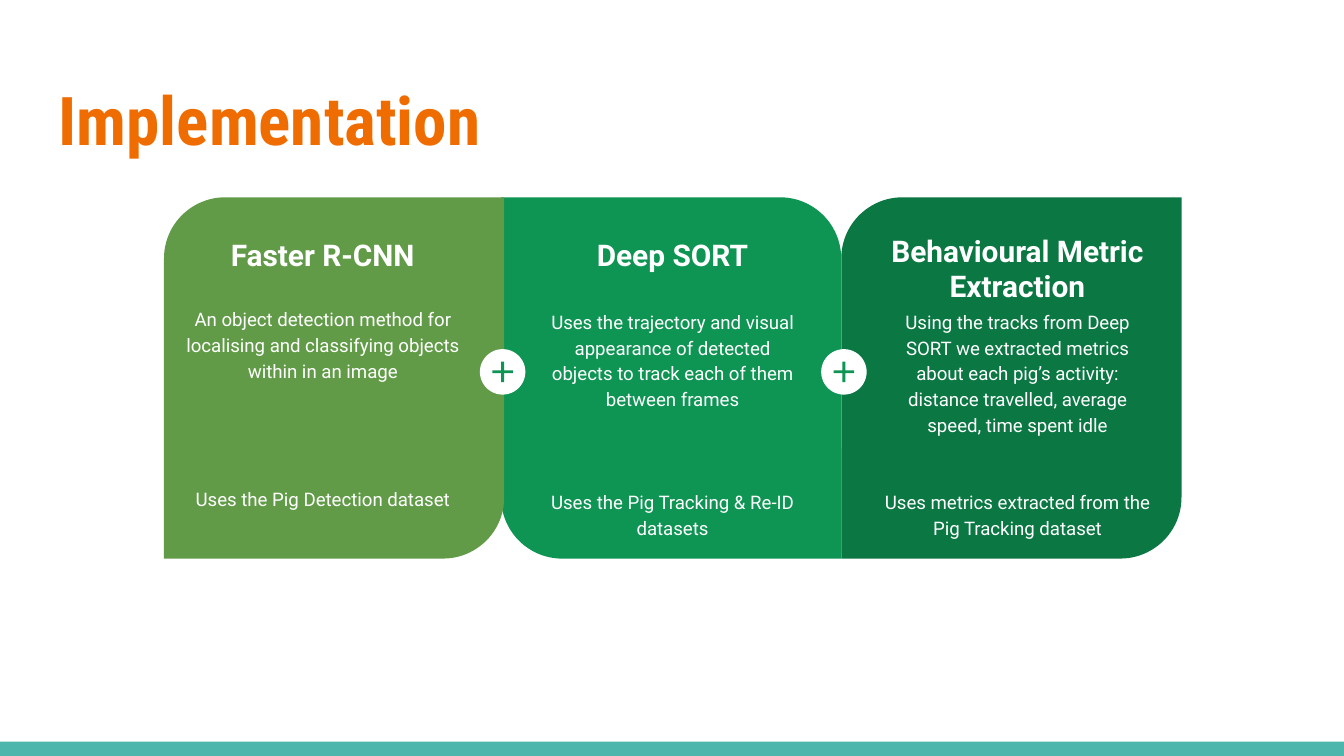
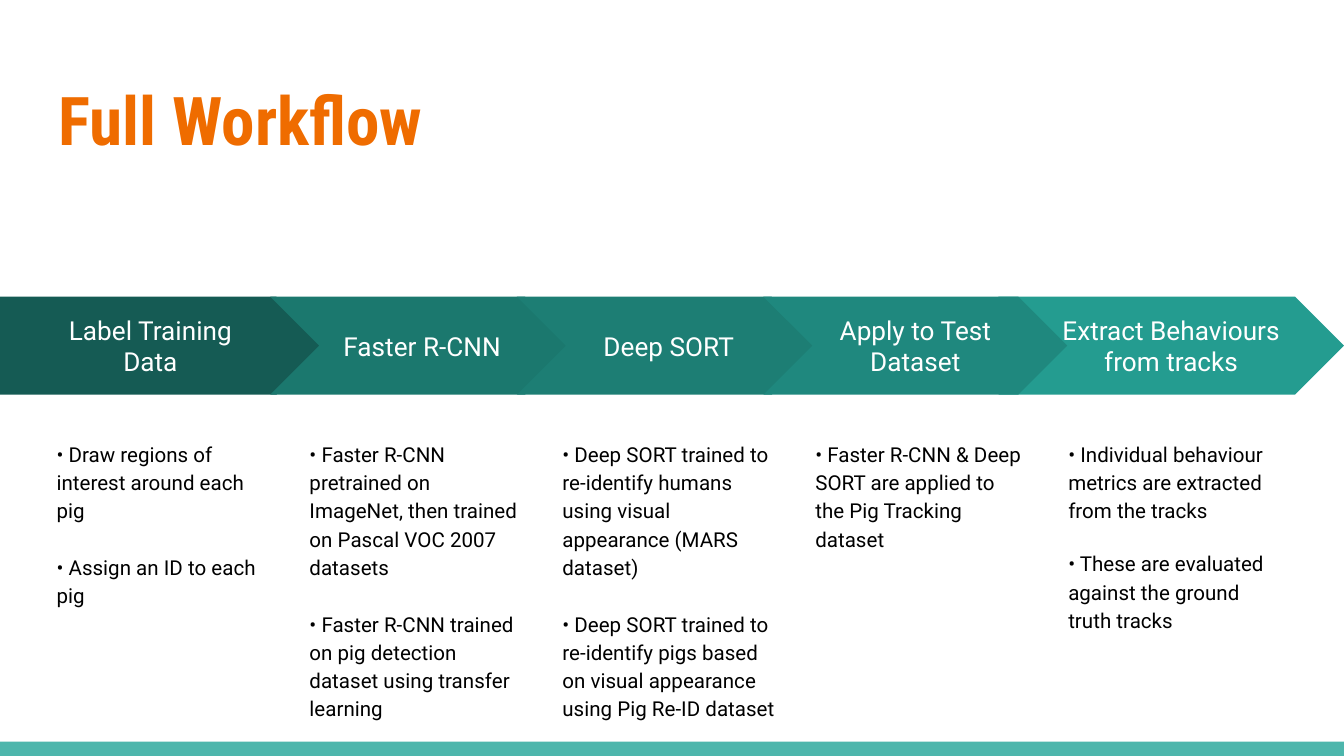
from pptx import Presentation
from pptx.dml.color import RGBColor
from pptx.enum.shapes import MSO_SHAPE
from pptx.enum.text import MSO_ANCHOR, PP_ALIGN
from pptx.util import Cm, Pt

RECTANGLE = MSO_SHAPE.RECTANGLE
DIAGONAL = MSO_SHAPE.ROUND_2_DIAG_RECTANGLE
OVAL = MSO_SHAPE.OVAL
PLUS = MSO_SHAPE.MATH_PLUS
PENTAGON = MSO_SHAPE.PENTAGON
CHEVRON = MSO_SHAPE.CHEVRON
LEFT = PP_ALIGN.LEFT
CENTER = PP_ALIGN.CENTER
TOP = MSO_ANCHOR.TOP
MIDDLE = MSO_ANCHOR.MIDDLE

COLORS = {
    "band": "4DB6AC",
    "title": "EF6C00",
    "white": "FFFFFF",
    "black": "000000",
    "light green": "619B48",
    "green": "0E9453",
    "dark green": "0B7743",
    "step 1": "155B54",
    "step 2": "1B786E",
    "step 3": "1D7E74",
    "step 4": "1F887E",
    "step 5": "249C90",
}

FORMATS = {
    "title": {
        "font": {"name": "Roboto Condensed", "size": Pt(36), "bold": True},
        "paragraph": {"alignment": LEFT},
        "color": "title",
    },
    "card heading": {
        "font": {"name": "Roboto", "size": Pt(16), "bold": True},
        "paragraph": {"alignment": CENTER},
        "color": "white",
    },
    "card body": {
        "font": {"name": "Roboto", "size": Pt(10)},
        "paragraph": {"alignment": CENTER, "line_spacing": 1.15},
        "color": "white",
    },
    "step": {
        "font": {"name": "Roboto", "size": Pt(14)},
        "paragraph": {"alignment": CENTER},
        "color": "white",
    },
    "notes": {
        "font": {"name": "Roboto", "size": Pt(11)},
        "paragraph": {"alignment": LEFT, "line_spacing": 1.15},
        "color": "black",
    },
}

MARGIN = Cm(0.25)
FRAME = {
    "word_wrap": True,
    "margin_left": MARGIN,
    "margin_top": MARGIN,
    "margin_right": MARGIN,
    "margin_bottom": MARGIN,
}

WIDTH, HEIGHT = 25.4, 14.29
CARD_TOP, CARD_WIDTH, CARD_HEIGHT = 3.73, 6.43, 6.83
BODY_LINE = 13.8
STEP_TOP, STEP_HEIGHT = 5.61, 1.85
NOTES_LEFT, NOTES_PITCH, NOTES_TOP, NOTES_HEIGHT = 0.82, 4.78, 8.03, 6.53

CARDS = [
    {
        "left": 15.9, "color": "dark green", "corners": (0.18, 0), "center": 19.23,
        "heading": "Behavioural Metric Extraction",
        "heading_top": 4.14, "heading_width": 6.15,
        "body": [
            "Using the tracks from Deep SORT we extracted metrics about each pig’s "
            "activity: distance travelled, average speed, time spent idle",
            "Uses metrics extracted from the Pig Tracking dataset",
        ],
        "body_top": 5.56, "body_width": 5.64, "gap_lines": 2,
    },
    {
        "left": 9.47, "color": "green", "corners": (0, 0.18), "center": 12.71,
        "heading": "Deep SORT",
        "heading_top": 4.22, "heading_width": 4.8,
        "body": [
            "Uses the trajectory and visual appearance of detected objects to track "
            "each of them between frames",
            "Uses the Pig Tracking & Re-ID datasets",
        ],
        "body_top": 5.56, "body_width": 5.26, "gap_lines": 3,
    },
    {
        "left": 3.1, "color": "light green", "corners": (0.18, 0), "center": 6.1,
        "heading": "Faster R-CNN",
        "heading_top": 4.22, "heading_width": 4.8,
        "body": [
            "An object detection method for localising and classifying objects "
            "within in an image",
            "Uses the Pig Detection dataset",
        ],
        "body_top": 5.51, "body_width": 5.99, "gap_lines": 4,
    },
]

STEPS = [
    {
        "number": 1, "kind": PENTAGON, "left": 0, "width": 6.15,
        "label": "Label Training\vData",
        "notes": [
            "Draw regions of interest around each pig",
            "Assign an ID to each pig",
        ],
        "notes_width": 4.52, "gap": 15.2,
    },
    {
        "number": 2, "kind": CHEVRON, "left": 5.11, "width": 5.74,
        "label": "Faster R-CNN",
        "notes": [
            "Faster R-CNN pretrained on ImageNet, then trained on Pascal VOC 2007 datasets",
            "Faster R-CNN trained on pig detection dataset using transfer learning",
        ],
        "notes_width": 4.52, "gap": 15.2,
    },
    {
        "number": 3, "kind": CHEVRON, "left": 9.77, "width": 5.74,
        "label": "Deep SORT",
        "notes": [
            "Deep SORT trained to re-identify humans using visual appearance (MARS dataset)",
            "Deep SORT trained to re-identify pigs based on visual appearance "
            "using Pig Re-ID dataset",
        ],
        "notes_width": 4.67, "gap": 15.2,
    },
    {
        "number": 5, "kind": CHEVRON, "left": 18.87, "width": 6.53,
        "label": "Extract Behaviours from tracks",
        "notes": [
            "Individual behaviour metrics are extracted from the tracks",
            "These are evaluated against the ground truth tracks",
        ],
        "notes_width": 4.52, "gap": 13.2,
    },
    {
        "number": 4, "kind": CHEVRON, "left": 14.43, "width": 5.74,
        "label": "Apply to Test Dataset",
        "notes": ["Faster R-CNN & Deep SORT are applied to the Pig Tracking dataset"],
        "notes_width": 4.52, "gap": 0,
    },
]


def set_values(target, values):
    for name, value in values.items():
        setattr(target, name, value)


class Deck:
    def __init__(self):
        self.presentation = Presentation()
        self.presentation.slide_width = Cm(WIDTH)
        self.presentation.slide_height = Cm(HEIGHT)
        self.slide = None

    def add_slide(self, title):
        self.slide = self.presentation.slides.add_slide(self.presentation.slide_layouts[6])
        self.shape(RECTANGLE, 0, 14.02, WIDTH, 0.27, "band")
        self.text(0.86, 1.24, 23.67, 1.96, [title], "title")

    def shape(self, kind, left, top, width, height, color, adjustments=()):
        shape = self.slide.shapes.add_shape(kind, Cm(left), Cm(top), Cm(width), Cm(height))
        shape.shadow.inherit = False
        shape.fill.solid()
        shape.fill.fore_color.rgb = RGBColor.from_string(COLORS[color])
        shape.line.fill.background()
        for index, value in enumerate(adjustments):
            shape.adjustments[index] = value
        return shape

    def text(self, left, top, width, height, lines, style, gap=0):
        box = self.slide.shapes.add_textbox(Cm(left), Cm(top), Cm(width), Cm(height))
        self.fill_text(box, lines, style, TOP, gap)

    def fill_text(self, shape, lines, style, anchor, gap=0):
        frame = shape.text_frame
        set_values(frame, FRAME)
        frame.vertical_anchor = anchor
        values = FORMATS[style]
        for index, line in enumerate(lines):
            paragraph = frame.add_paragraph() if index else frame.paragraphs[0]
            paragraph.text = line
            set_values(paragraph, values["paragraph"])
            if index:
                paragraph.space_before = Pt(gap)
            set_values(paragraph.font, values["font"])
            paragraph.font.color.rgb = RGBColor.from_string(COLORS[values["color"]])

    def card(self, card):
        self.shape(DIAGONAL, card["left"], CARD_TOP, CARD_WIDTH, CARD_HEIGHT,
                   card["color"], card["corners"])
        self.text(card["center"] - card["heading_width"] / 2, card["heading_top"],
                  card["heading_width"], 2, [card["heading"]], "card heading")
        self.text(card["center"] - card["body_width"] / 2, card["body_top"],
                  card["body_width"], 4.9, card["body"], "card body",
                  BODY_LINE * card["gap_lines"])

    def plus_badge(self, center_x, center_y):
        for kind, size, color, adjustments in (
            (OVAL, 0.86, "white", ()),
            (PLUS, 0.53, "green", (0.1,)),
        ):
            self.shape(kind, center_x - size / 2, center_y - size / 2, size, size,
                       color, adjustments)

    def step(self, step):
        arrow = self.shape(step["kind"], step["left"], STEP_TOP, step["width"], STEP_HEIGHT,
                           f"step {step['number']}", (0.5,))
        self.fill_text(arrow, [step["label"]], "step", MIDDLE)
        self.text(NOTES_LEFT + NOTES_PITCH * (step["number"] - 1), NOTES_TOP,
                  step["notes_width"], NOTES_HEIGHT,
                  [f"• {note}" for note in step["notes"]], "notes", step["gap"])


def main():
    deck = Deck()
    deck.add_slide("Implementation")
    for card in CARDS:
        deck.card(card)
    for center_x in (9.5, 15.95):
        deck.plus_badge(center_x, 7.03)

    deck.add_slide("Full Workflow")
    for step in STEPS:
        deck.step(step)

    deck.presentation.save("out.pptx")


if __name__ == "__main__":
    main()
